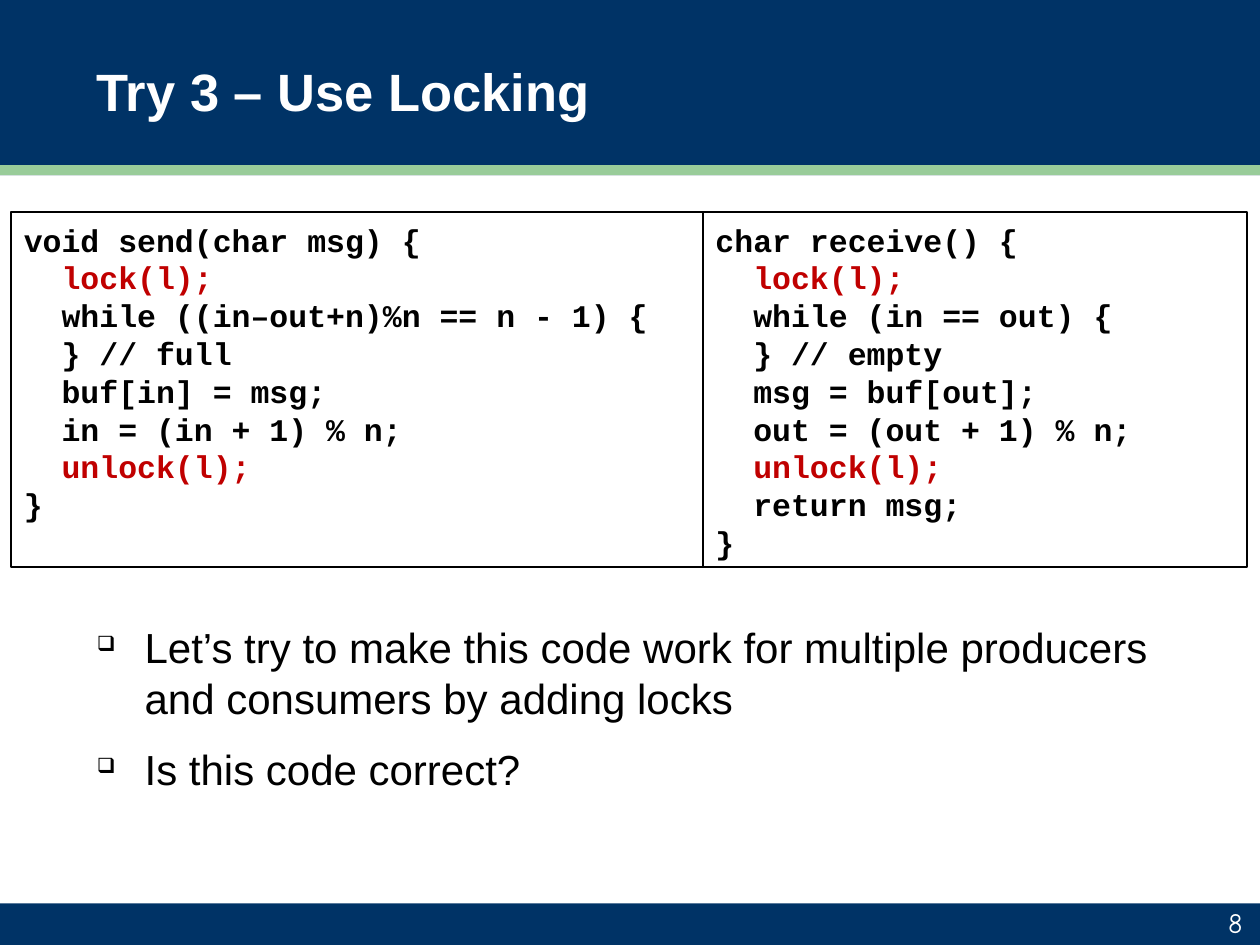
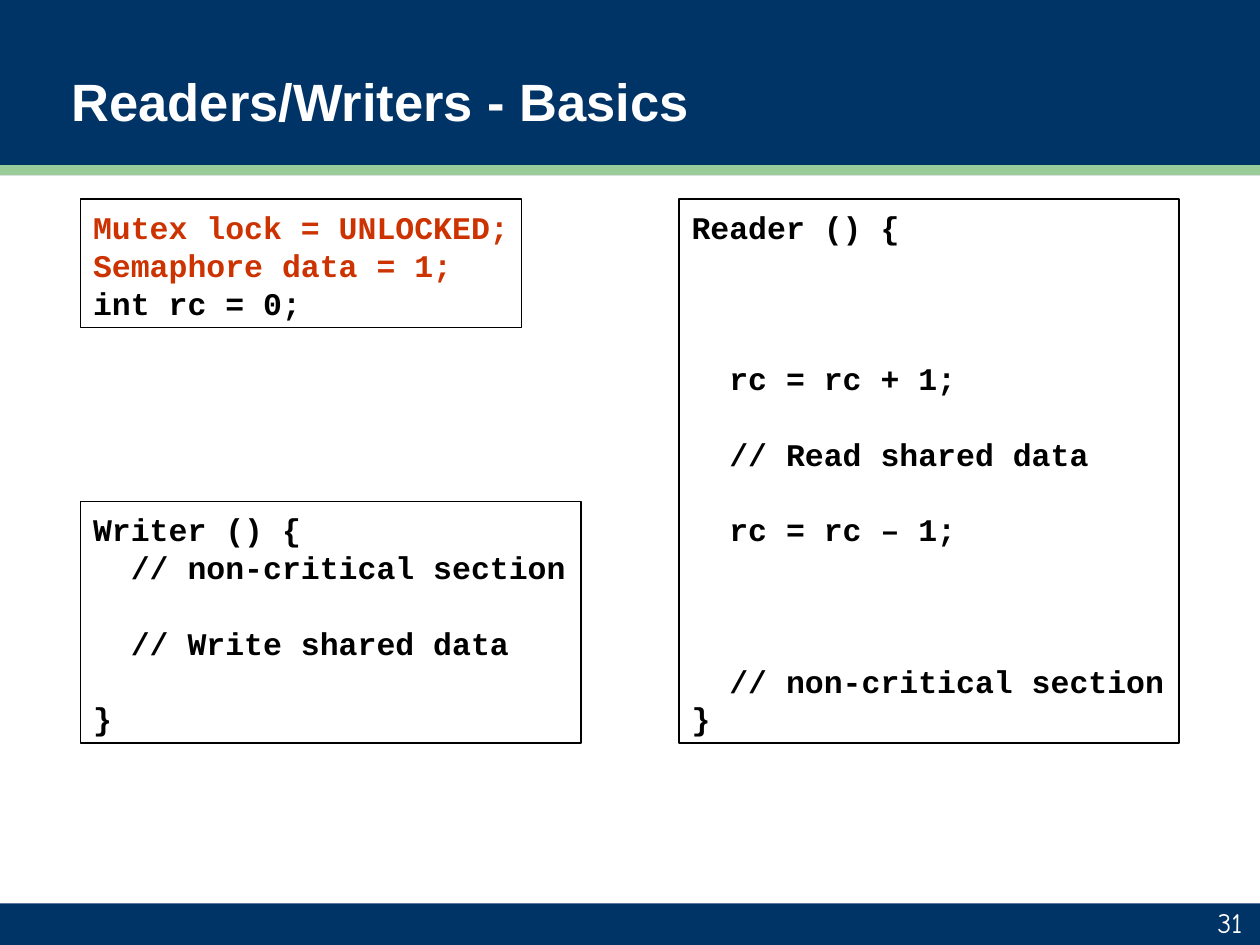
from pptx import Presentation
from pptx.dml.color import RGBColor
from pptx.enum.shapes import MSO_SHAPE as Shape
from pptx.enum.text import MSO_ANCHOR as Anchor, PP_ALIGN as Align
from pptx.util import Inches, Pt
from lxml.etree import SubElement
from pptx.oxml.ns import qn

COLOURS = {"navy": "003366", "green": "99CC99", "white": "FFFFFF",
           "black": "000000", "red": "C00000", "orange": "CC3300"}
WIDTH, HEIGHT = 10, 7.5
BANDS = [(0, 1.39, "navy"), (1.31, 0.08, "green"), (7.17, 0.33, "navy")]
CODE_LINE, CODE_PADDING = 0.3, 0.12

SEND = """void send(char msg) {
  lock(l);
  while ((in–out+n)%n == n - 1) {
  } // full
  buf[in] = msg;
  in = (in + 1) % n;
  unlock(l);
}"""

RECEIVE = """char receive() {
  lock(l);
  while (in == out) {
  } // empty
  msg = buf[out];
  out = (out + 1) % n;
  unlock(l);
  return msg;
}"""

SHARED = """Mutex lock = UNLOCKED;
Semaphore data = 1;
int rc = 0;"""

READER = """Reader () {



  rc = rc + 1;

  // Read shared data

  rc = rc – 1;



  // non-critical section
}"""

WRITER = """Writer () {
  // non-critical section

  // Write shared data

}"""

SLIDES = [
    {"title": "Try 3 – Use Locking", "title_box": (0.67, 0.05, 8.67, 1.33),
     "number": "8", "highlight": "red",
     "code": [(5.58, 1.68, 4.32, 9, RECEIVE), (0.09, 1.68, 5.49, 9, SEND)],
     "bullets": ["Let’s try to make this code work for multiple producers "
                 "and consumers by adding locks",
                 "Is this code correct?"]},
    {"title": "Readers/Writers - Basics", "title_box": (0.47, 0.17, 9.53, 1.25),
     "number": "31", "highlight": "orange",
     "code": [(5.39, 1.58, 3.97, 14, READER), (0.64, 1.58, 3.5, 3, SHARED),
              (0.64, 3.98, 3.97, 6, WRITER)],
     "bullets": []},
]
HIGHLIGHTED = {"lock(l);", "unlock(l);", "Mutex lock = UNLOCKED;", "Semaphore data = 1;"}


def colour(name):
    return RGBColor.from_string(COLOURS[name])


def style(paragraph, font_name, size, colour_name, bold=False):
    for run in paragraph.runs:
        run.font.name = font_name
        run.font.size = Pt(size)
        run.font.bold = bold
        run.font.color.rgb = colour(colour_name)


def add_rectangle(slide, box):
    shape = slide.shapes.add_shape(Shape.RECTANGLE, *map(Inches, box))
    shape.shadow.inherit = False
    return shape


def add_text(slide, box, anchor):
    text_frame = slide.shapes.add_textbox(*map(Inches, box)).text_frame
    text_frame.word_wrap = True
    text_frame.vertical_anchor = anchor
    return text_frame


def add_frame(slide, content):
    for top, height, fill in BANDS:
        band = add_rectangle(slide, (0, top, WIDTH, height))
        band.fill.solid()
        band.fill.fore_color.rgb = colour(fill)
        band.line.fill.background()
    title = add_text(slide, content["title_box"], Anchor.MIDDLE)
    title.text = content["title"]
    style(title.paragraphs[0], "Arial", 30, "white", True)
    number = add_text(slide, (7.88, 7.18, 2.08, 0.32), Anchor.BOTTOM)
    number.text = content["number"]
    number.paragraphs[0].alignment = Align.RIGHT
    style(number.paragraphs[0], "Comic Neue", 16, "white")


def add_code(slide, left, top, width, rows, code, highlight):
    shape = add_rectangle(slide, (left, top, width, rows * CODE_LINE + CODE_PADDING))
    shape.fill.background()
    shape.line.color.rgb = colour("black")
    shape.line.width = Pt(1)
    text_frame = shape.text_frame
    text_frame.word_wrap = True
    text_frame.vertical_anchor = Anchor.TOP
    text_frame.margin_top = Inches(0.07)
    text_frame.margin_right = text_frame.margin_bottom = 0
    lines = code.split("\n")
    written = [row for row, line in enumerate(lines) if line]
    text_frame.text = "\n".join(lines[row] for row in written)
    previous = -1
    for row, paragraph in zip(written, text_frame.paragraphs):
        paragraph.alignment = Align.LEFT
        paragraph.line_spacing = Inches(CODE_LINE)
        paragraph.space_before = Inches(CODE_LINE * (row - previous - 1))
        marked = lines[row].strip() in HIGHLIGHTED
        style(paragraph, "Courier New", 18, highlight if marked else "black", True)
        previous = row


def add_bullets(slide, bullets):
    text_frame = add_text(slide, (0.67, 4.88, 8.67, 2.26), Anchor.TOP)
    text_frame.text = "\n".join(bullets)
    for index, paragraph in enumerate(text_frame.paragraphs):
        paragraph.line_spacing = Pt(29.1)
        paragraph.space_before = Pt(9.5 if index else 0)
        paragraph.space_after = Pt(2)
        properties = paragraph._p.get_or_add_pPr()
        properties.set("marL", str(Inches(0.38)))
        properties.set("indent", str(-Inches(0.38)))
        bullet_colour = SubElement(properties, qn("a:buClr"))
        SubElement(bullet_colour, qn("a:srgbClr"), val=COLOURS["black"])
        SubElement(properties, qn("a:buSzPct"), val="50000")
        SubElement(properties, qn("a:buChar"), char="❑")
        style(paragraph, "Arial", 24, "black")


def main():
    presentation = Presentation()
    presentation.slide_width = Inches(WIDTH)
    presentation.slide_height = Inches(HEIGHT)
    for content in SLIDES:
        slide = presentation.slides.add_slide(presentation.slide_layouts[6])
        add_frame(slide, content)
        if content["bullets"]:
            add_bullets(slide, content["bullets"])
        for block in content["code"]:
            add_code(slide, *block, content["highlight"])
    presentation.save("out.pptx")


if __name__ == "__main__":
    main()
